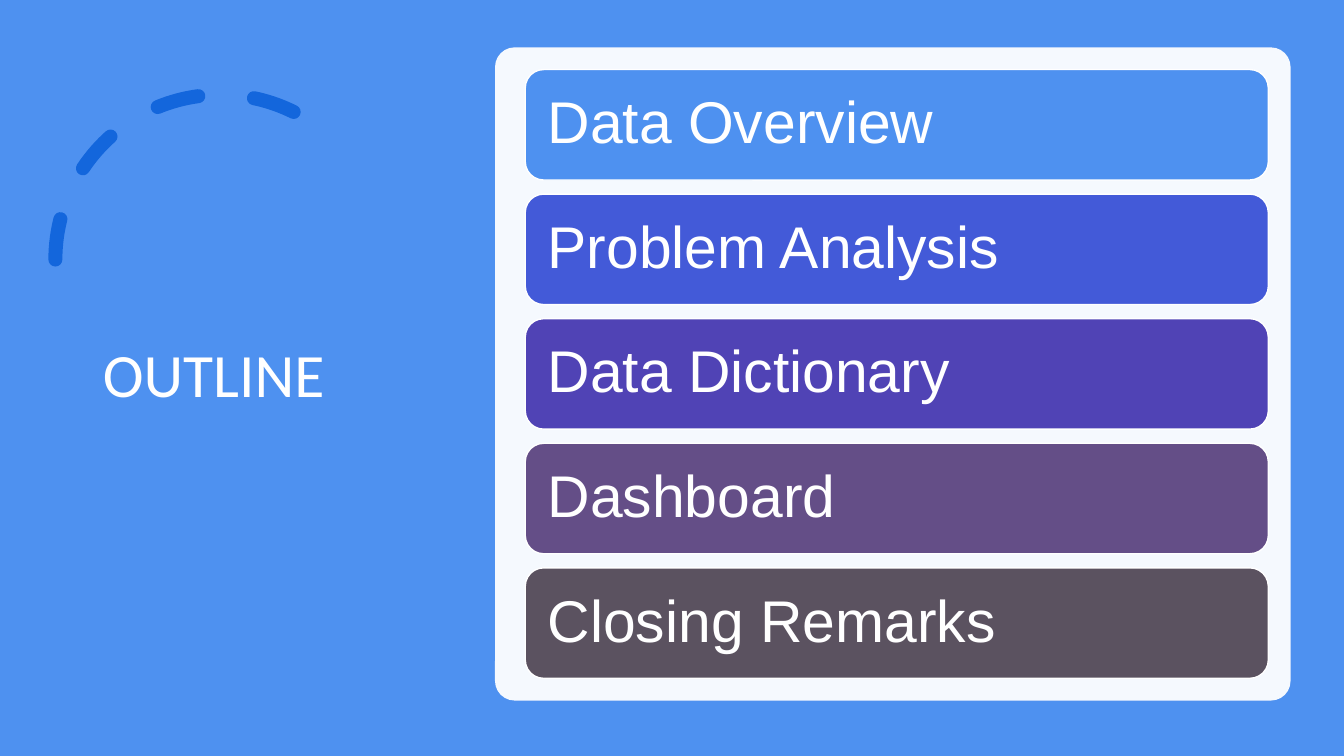
from pptx import Presentation
from pptx.dml.color import RGBColor
from pptx.enum.dml import MSO_LINE
from pptx.enum.shapes import MSO_SHAPE as Preset
from pptx.enum.text import MSO_ANCHOR as Anchor, MSO_AUTO_SIZE as AutoSize, PP_ALIGN as Align
from pptx.oxml.ns import qn
from pptx.util import Inches, Pt
from lxml.etree import SubElement

WHITE = RGBColor(0xFF, 0xFF, 0xFF)
SKY = RGBColor(0x4E, 0x91, 0xF0)
ARC_BLUE = RGBColor(0x13, 0x66, 0xDC)
INDIGO = RGBColor(0x43, 0x5A, 0xD8)
VIOLET = RGBColor(0x50, 0x43, 0xB5)
PLUM = RGBColor(0x64, 0x4E, 0x87)
SLATE = RGBColor(0x5B, 0x52, 0x60)

TOPICS = [
    ("Data Overview", SKY),
    ("Problem Analysis", INDIGO),
    ("Data Dictionary", VIOLET),
    ("Dashboard", PLUM),
    ("Closing Remarks", SLATE),
]


def add_preset(slide, preset, box, fill=None):
    """Add a shadowless, unlined preset shape in a box given in inches."""
    shape = slide.shapes.add_shape(preset, *map(Inches, box))
    shape.shadow.inherit = False
    shape.line.fill.background()
    if fill is None:
        shape.fill.background()
    else:
        shape.fill.solid()
        shape.fill.fore_color.rgb = fill
    return shape


def write_line(shape, text, font, size):
    """Write one left-aligned, vertically centred white line."""
    frame = shape.text_frame
    frame.word_wrap = True
    frame.auto_size = AutoSize.NONE
    frame.vertical_anchor = Anchor.MIDDLE
    paragraph = frame.paragraphs[0]
    paragraph.alignment = Align.LEFT
    paragraph.line_spacing = 0.9
    run = paragraph.add_run()
    run.text = text
    run.font.name = font
    run.font.size = Pt(size)
    run.font.color.rgb = WHITE


def add_title(slide, box, text):
    """Move the title placeholder into the box and fill it."""
    title = slide.shapes.title
    title.left, title.top, title.width, title.height = map(Inches, box)
    write_line(title, text, "Calibri", 44)


def add_dashed_arc(slide, box):
    """Draw the round-capped dashed arc, mirrored to the upper left."""
    arc = add_preset(slide, Preset.ARC, box)
    arc.adjustments[0] = 146.13
    arc.adjustments[1] = 0
    arc.line.color.rgb = ARC_BLUE
    arc.line.width = Pt(10)
    arc.line.dash_style = MSO_LINE.DASH
    properties = arc.element.spPr
    properties.find(qn("a:xfrm")).set("flipH", "1")
    properties.find(qn("a:ln")).set("cap", "rnd")


def add_topic_panel(slide, box, topics):
    """Draw the translucent panel with one evenly spaced bar per topic."""
    left, top, width, height = box
    panel = add_preset(slide, Preset.ROUNDED_RECTANGLE, box, WHITE)
    panel.adjustments[0] = 0.03
    color = panel.element.spPr.find(qn("a:solidFill"))[0]
    SubElement(color, qn("a:alpha")).set("val", "95000")

    side, edge, gap = 0.3, 0.22, 0.14
    pitch = (height - 2 * edge + gap) / len(topics)
    for index, (topic, fill) in enumerate(topics):
        bar_box = (left + side, top + edge + index * pitch, 7.37, pitch - gap)
        bar = add_preset(slide, Preset.ROUNDED_RECTANGLE, bar_box, fill)
        bar.line.color.rgb = WHITE
        bar.line.width = Pt(1)
        bar.text_frame.margin_left = Inches(0.17)
        write_line(bar, topic, "Arial", 42)


def build_outline(presentation):
    """Build the outline slide."""
    slide = presentation.slides.add_slide(presentation.slide_layouts[5])
    background = slide.background.fill
    background.solid()
    background.fore_color.rgb = SKY
    add_dashed_arc(slide, (0.55, 0.94, 3.27, 3.27))
    add_title(slide, (0.92, 0.7, 3.23, 6.09), "OUTLINE")
    add_topic_panel(slide, (4.91, 0.47, 7.89, 6.48), TOPICS)


presentation = Presentation()
presentation.slide_width = Inches(13.33)
presentation.slide_height = Inches(7.5)
build_outline(presentation)
presentation.save("out.pptx")
